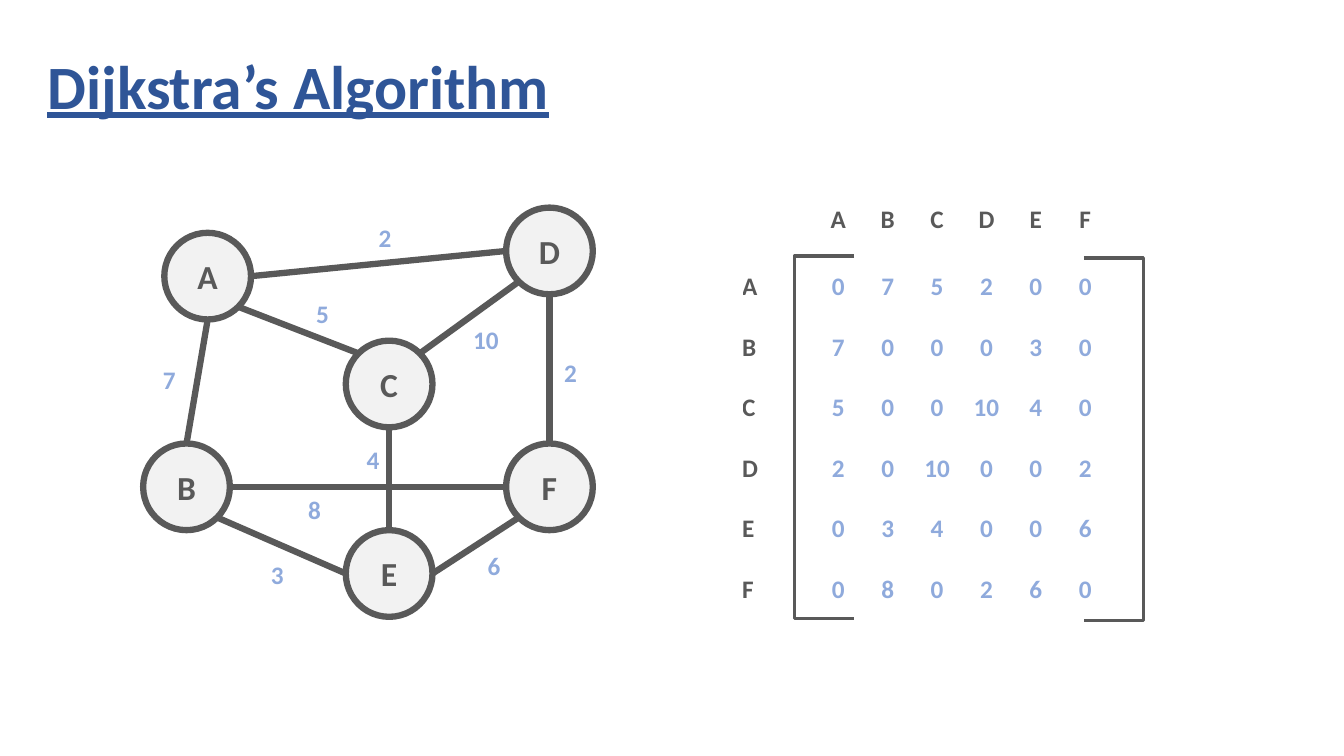
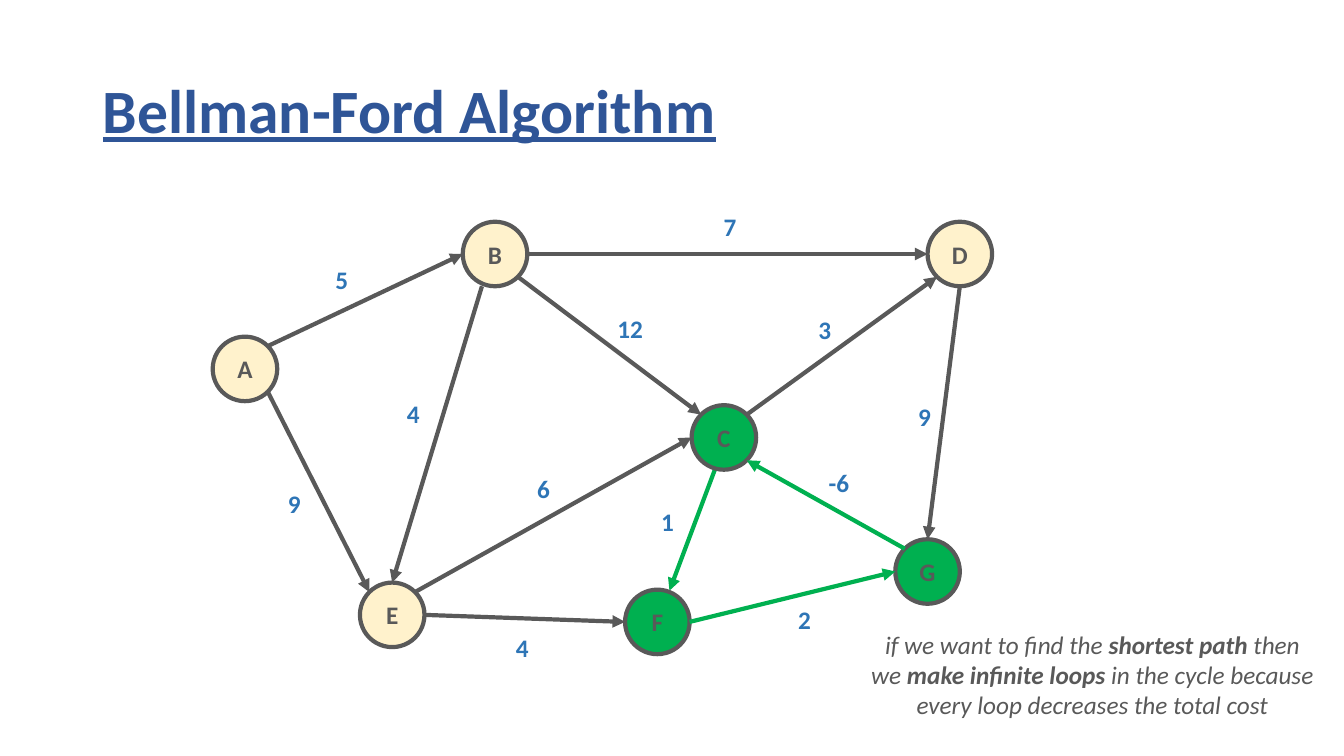
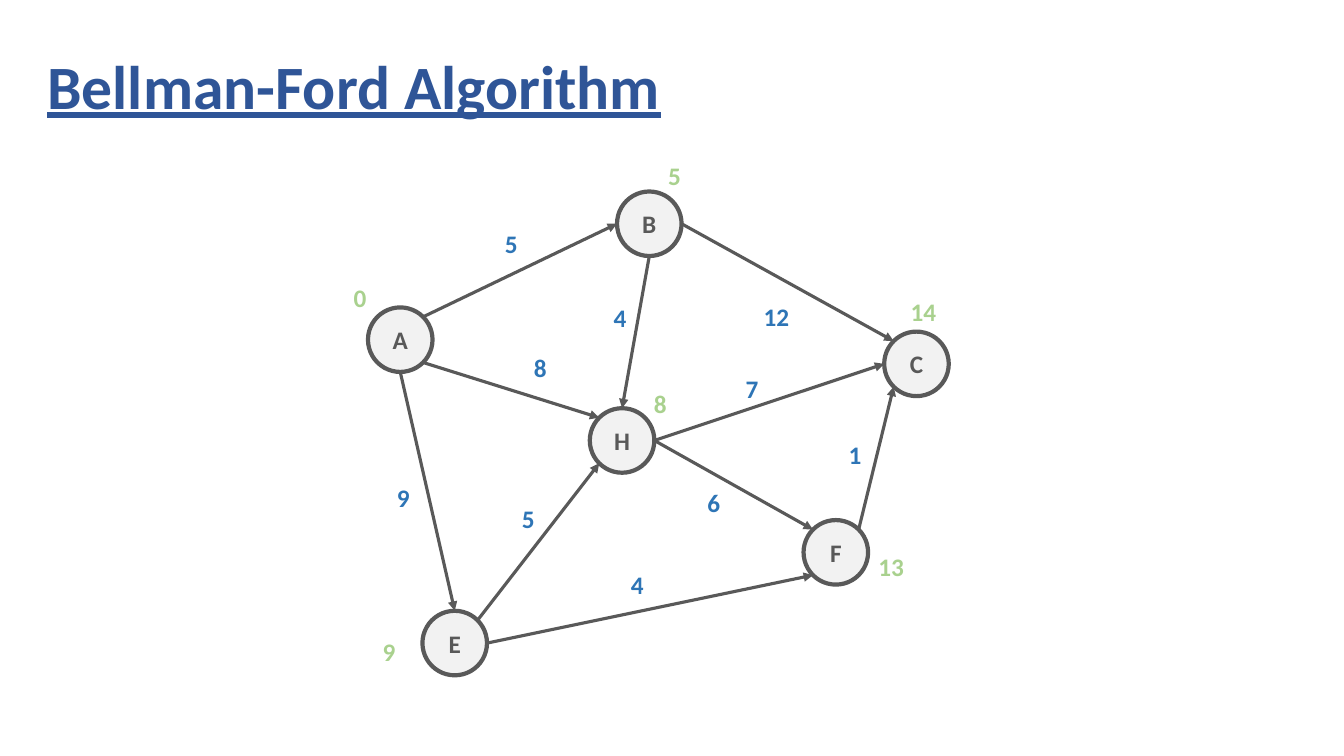
"""Build three slides of weighted graphs for shortest path algorithms."""
import math

import pptx
import pptx.dml.color
import pptx.enum.shapes
import pptx.enum.text
import pptx.oxml.ns
import pptx.util
from lxml import etree

FONT = "Calibri"
TITLE_BLUE, GREY, GREEN = "2F5597", "595959", "00B050"
PALE_GREY, CREAM = "F2F2F2", "FFF2CC"
SOFT_BLUE, BLUE, SOFT_GREEN = "8FAADC", "2E75B6", "A9D18E"
SITES = ("n", "nw", "w", "sw", "s", "se", "e", "ne")
CENTER = pptx.enum.text.PP_ALIGN.CENTER
LEFT = pptx.enum.text.PP_ALIGN.LEFT

GRAPHS = [
    {
        "title": "Dijkstra’s Algorithm", "title_at": (0.37, 0.16),
        "diameter": 0.86, "node_size": 24, "outline": 4.5, "edge_width": 4.5,
        "fill": PALE_GREY, "weight_color": SOFT_BLUE, "arrows": False,
        "nodes": {"A": (2.06, 2.74), "B": (1.85, 4.83), "C": (3.86, 3.81),
                  "D": (5.45, 2.49), "E": (3.86, 5.69), "F": (5.45, 4.83)},
        "edges": [
            ("B", "n", "A", "s", "7", (1.68, 3.77)),
            ("A", "se", "C", "nw", "5", (3.2, 3.11)),
            ("A", "e", "D", "w", "2", (3.82, 2.36)),
            ("C", "ne", "D", "sw", "10", (4.82, 3.37)),
            ("D", "s", "F", "n", "2", (5.66, 3.7)),
            ("B", "se", "E", "w", "3", (2.75, 5.7)),
            ("E", "n", "C", "s", "4", (3.7, 4.56)),
            ("E", "e", "F", "sw", "6", (4.9, 5.61)),
            ("B", "e", "F", "w", "8", (3.12, 5.06)),
        ],
    },
    {
        "title": "Bellman-Ford Algorithm", "title_at": (0.92, 0.4),
        "diameter": 0.64, "node_size": 18, "outline": 3, "edge_width": 3,
        "fill": CREAM, "weight_color": BLUE, "arrows": True, "cycle": "CFG",
        "nodes": {"A": (2.43, 3.66), "B": (4.91, 2.52), "C": (7.18, 4.34),
                  "D": (9.52, 2.52), "E": (3.89, 6.1), "F": (6.52, 6.17),
                  "G": (9.2, 5.67)},
        "edges": [
            ("A", "se", "E", "nw", "9", (2.92, 5)),
            ("A", "ne", "B", "w", "5", (3.39, 2.77)),
            ("B", "e", "D", "w", "7", (7.24, 2.25)),
            ("B", "se", "C", "nw", "12", (6.25, 3.26)),
            ("B", (-0.13, 0.32), "E", "n", "4", (4.1, 4.1)),
            ("E", "ne", "C", "w", "6", (5.39, 4.85)),
            ("E", "e", "F", "w", "4", (5.18, 6.42)),
            ("C", "ne", "D", "sw", "3", (8.18, 3.27)),
            ("D", "s", "G", "n", "9", (9.17, 4.13)),
            ("C", (0.03, 0), "F", (0.12, -0.31), "1", (6.62, 5.17)),
            ("F", "e", "G", "w", "2", (7.98, 6.15)),
            ("G", "nw", "C", "se", "-6", (8.32, 4.79)),
        ],
    },
    {
        "title": "Bellman-Ford Algorithm", "title_at": (0.37, 0.16),
        "diameter": 0.64, "node_size": 18, "outline": 3, "edge_width": 2.25,
        "fill": PALE_GREY, "weight_color": BLUE, "arrows": True,
        "nodes": {"A": (3.97, 3.37), "B": (6.44, 2.22), "C": (9.09, 3.61),
                  "E": (4.51, 6.38), "F": (8.29, 5.48), "H": (6.17, 4.37)},
        "edges": [
            ("A", "s", "E", "n", "9", (4, 4.94)),
            ("A", "se", "H", "nw", "8", (5.36, 3.65)),
            ("A", "ne", "B", "w", "5", (5.07, 2.42)),
            ("B", "e", "C", "nw", "12", (7.7, 3.14)),
            ("B", "s", "H", "n", "4", (6.15, 3.15)),
            ("E", "ne", "H", "sw", "5", (5.24, 5.14)),
            ("E", "e", "F", "sw", "4", (6.32, 5.8)),
            ("H", "e", "C", "w", "7", (7.46, 3.85)),
            ("H", "e", "F", "nw", "6", (7.08, 4.99)),
            ("F", "ne", "C", "sw", "1", (8.48, 4.51)),
        ],
        "distances": [("0", (3.57, 2.95)), ("5", (6.69, 1.74)), ("8", (6.55, 4)),
                      ("9", (3.86, 6.46)), ("13", (8.84, 5.62)), ("14", (9.16, 3.09))],
    },
]
MATRIX = [
    ("", "A", "B", "C", "D", "E", "F"),
    ("A", "0", "7", "5", "2", "0", "0"),
    ("B", "7", "0", "0", "0", "3", "0"),
    ("C", "5", "0", "0", "10", "4", "0"),
    ("D", "2", "0", "10", "0", "0", "2"),
    ("E", "0", "3", "4", "0", "0", "6"),
    ("F", "0", "8", "0", "2", "6", "0"),
]
MATRIX_AT = (7.36, 1.81)
LABEL_COLUMN, NUMBER_COLUMN = 0.71, 0.49
HEADER_ROW, NUMBER_ROW = 0.74, 0.6
BRACKETS = [(8.47, 7.88, 2.54), (10.75, 11.34, 2.56)]
NOTE = [
    [("if we want to find the ", False), ("shortest path", True), (" then", False)],
    [("we ", False), ("make infinite loops ", True), ("in the cycle because", False)],
    [("every loop decreases the total cost", False)],
]
NOTE_AT = (8.52, 6.19, 4.63, 1.01)


def inches(*values):
    return [pptx.util.Inches(value) for value in values]


def rgb(color):
    return pptx.dml.color.RGBColor.from_string(color)


def add_span(para, text, size, color, bold=True, italic=False, underline=False):
    span = para.add_run()
    span.text = text
    font = span.font
    font.name, font.size, font.color.rgb = FONT, pptx.util.Pt(size), rgb(color)
    font.bold, font.italic, font.underline = bold, italic, underline


def style_line(line, color, width):
    line.color.rgb = rgb(color)
    line.width = pptx.util.Pt(width)


def add_title(page, text, at):
    title = page.shapes.title
    title.left, title.top, title.width, title.height = inches(*at, 11.5, 1.45)
    frame = title.text_frame
    frame.word_wrap = True
    frame.auto_size = pptx.enum.text.MSO_AUTO_SIZE.NONE
    frame.vertical_anchor = pptx.enum.text.MSO_ANCHOR.MIDDLE
    para = frame.paragraphs[0]
    para.alignment, para.line_spacing = LEFT, 0.9
    add_span(para, text, 44, TITLE_BLUE, underline=True)


def add_label(page, text, center, color):
    width, height = 0.6, 0.4
    box = page.shapes.add_textbox(
        *inches(center[0] - width / 2, center[1] - height / 2, width, height))
    box.text_frame.word_wrap = True
    para = box.text_frame.paragraphs[0]
    para.alignment = CENTER
    add_span(para, text, 18, color)


def add_node(page, graph, name):
    diameter = graph["diameter"]
    corner = [value - diameter / 2 for value in graph["nodes"][name]]
    node = page.shapes.add_shape(
        pptx.enum.shapes.MSO_SHAPE.OVAL, *inches(*corner, diameter, diameter))
    node.shadow.inherit = False
    node.fill.solid()
    node.fill.fore_color.rgb = rgb(GREEN if name in graph.get("cycle", "") else graph["fill"])
    style_line(node.line, GREY, graph["outline"])
    frame = node.text_frame
    frame.vertical_anchor = pptx.enum.text.MSO_ANCHOR.MIDDLE
    para = frame.paragraphs[0]
    para.alignment = CENTER
    add_span(para, name, graph["node_size"], GREY)
    return node


def edge_end(graph, name, site):
    """Return the point of a named compass site or of an offset from the centre."""
    x, y = graph["nodes"][name]
    if site in SITES:
        angle = math.radians(90 + 45 * SITES.index(site))
        radius = graph["diameter"] / 2
        site = radius * math.cos(angle), -radius * math.sin(angle)
    return inches(x + site[0], y + site[1])


def add_edge(page, graph, edge, nodes):
    start, start_site, end, end_site = edge[:4]
    connector = page.shapes.add_connector(
        pptx.enum.shapes.MSO_CONNECTOR.STRAIGHT,
        *edge_end(graph, start, start_site), *edge_end(graph, end, end_site))
    cycle = graph.get("cycle", "")
    style_line(connector.line, GREEN if start in cycle and end in cycle else GREY,
               graph["edge_width"])
    qn = pptx.oxml.ns.qn
    properties = connector.element.find(qn("p:spPr"))
    if graph["arrows"]:
        etree.SubElement(properties.find(qn("a:ln")), qn("a:tailEnd"), type="triangle")
    etree.SubElement(properties, qn("a:effectLst"))
    joints = connector.element.find(".//" + qn("p:cNvCxnSpPr"))
    for tag, name, site in (("a:stCxn", start, start_site), ("a:endCxn", end, end_site)):
        if name in nodes and site in SITES:
            etree.SubElement(joints, qn(tag), id=str(nodes[name].shape_id),
                             idx=str(SITES.index(site)))


def is_loose(edge):
    return edge[1] not in SITES or edge[3] not in SITES


def add_graph(page, graph):
    for edge in filter(is_loose, graph["edges"]):
        add_edge(page, graph, edge, {})
    nodes = {name: add_node(page, graph, name) for name in graph["nodes"]}
    for edge in graph["edges"]:
        if not is_loose(edge):
            add_edge(page, graph, edge, nodes)
    for *_, weight, center in graph["edges"]:
        add_label(page, weight, center, graph["weight_color"])
    for distance, center in graph.get("distances", []):
        add_label(page, distance, center, SOFT_GREEN)


def add_matrix(page):
    count = len(MATRIX) - 1
    widths = [LABEL_COLUMN] + [NUMBER_COLUMN] * count
    heights = [HEADER_ROW] + [NUMBER_ROW] * count
    table = page.shapes.add_table(
        len(heights), len(widths), *inches(*MATRIX_AT, sum(widths), sum(heights))).table
    table.first_row = table.horz_banding = False
    for column, width in zip(table.columns, widths):
        column.width = pptx.util.Inches(width)
    for row, height in zip(table.rows, heights):
        row.height = pptx.util.Inches(height)
    for i, values in enumerate(MATRIX):
        for j, value in enumerate(values):
            cell = table.cell(i, j)
            cell.fill.background()
            cell.margin_left = cell.margin_right = cell.margin_top = cell.margin_bottom = 0
            cell.vertical_anchor = pptx.enum.text.MSO_ANCHOR.MIDDLE
            para = cell.text_frame.paragraphs[0]
            para.alignment = CENTER if j else LEFT
            if value:
                add_span(para, value, 18, SOFT_BLUE if i and j else GREY)


def add_brackets(page):
    for tip, spine, top in BRACKETS:
        bottom = top + NUMBER_ROW * (len(MATRIX) - 1)
        points = [inches(*point) for point in
                  ((tip, top), (spine, top), (spine, bottom), (tip, bottom))]
        builder = page.shapes.build_freeform(*points[0])
        builder.add_line_segments(points[1:], close=False)
        bracket = builder.convert_to_shape()
        bracket.shadow.inherit = False
        bracket.fill.background()
        style_line(bracket.line, GREY, 2.25)


def add_note(page):
    frame = page.shapes.add_textbox(*inches(*NOTE_AT)).text_frame
    frame.word_wrap = False
    for i, line in enumerate(NOTE):
        para = frame.add_paragraph() if i else frame.paragraphs[0]
        para.alignment = CENTER
        for text, bold in line:
            add_span(para, text, 18, GREY, bold=bold, italic=True)


def main():
    deck = pptx.Presentation()
    deck.slide_width, deck.slide_height = inches(13.33, 7.5)
    pages = []
    for graph in GRAPHS:
        page = deck.slides.add_slide(deck.slide_layouts.get_by_name("Title Only"))
        add_title(page, graph["title"], graph["title_at"])
        add_graph(page, graph)
        pages.append(page)
    add_matrix(pages[0])
    add_brackets(pages[0])
    add_note(pages[1])
    deck.save("out.pptx")


if __name__ == "__main__":
    main()
